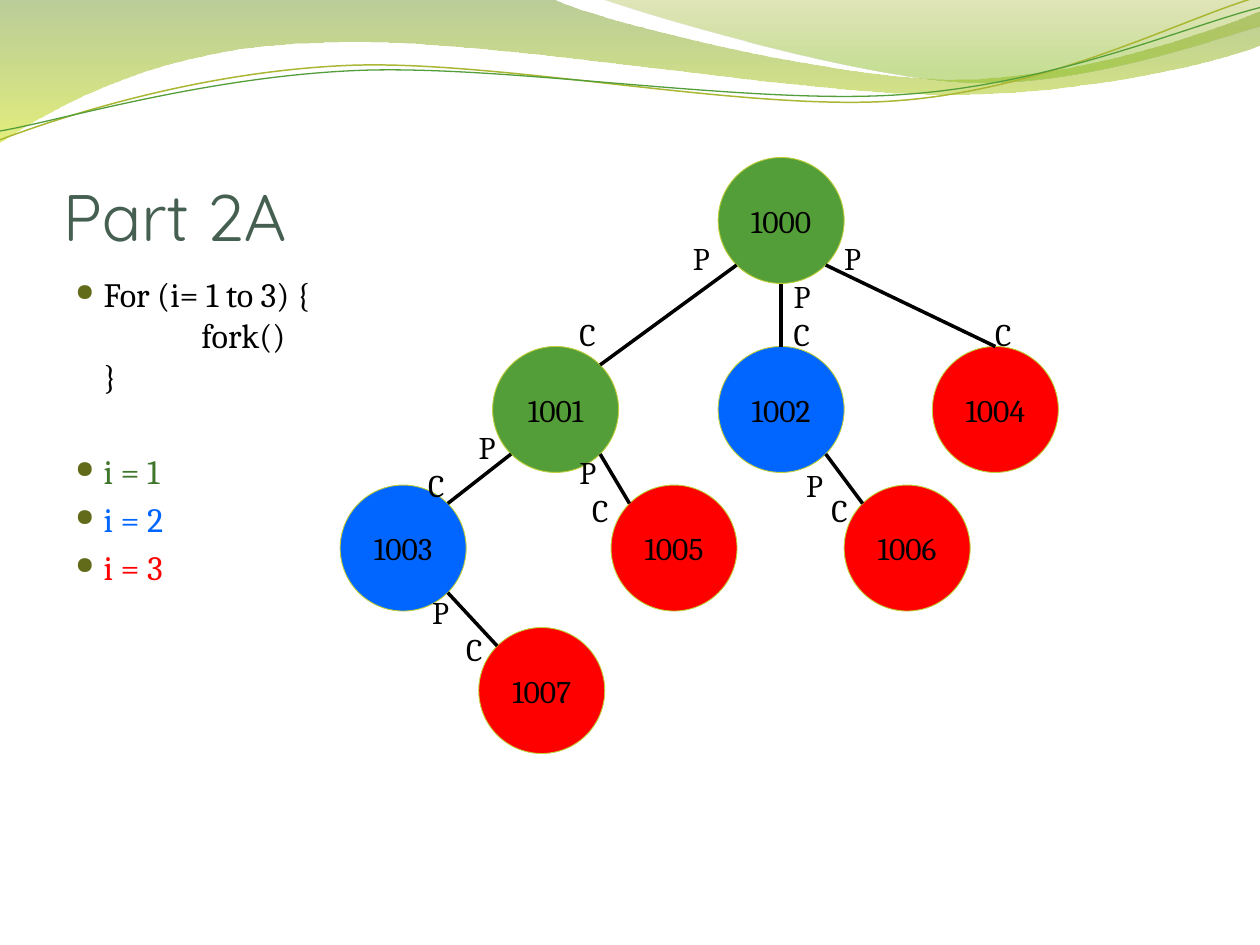
import math

import lxml.etree
import pptx
import pptx.dml.color
import pptx.enum.shapes
import pptx.enum.text
import pptx.oxml.ns
import pptx.util

Pt = pptx.util.Pt
ANCHOR = pptx.enum.text.MSO_ANCHOR
GREEN, BLUE, RED, BLACK = "549E39", "0066FF", "FF0000", "000000"
RADIUS = 36
DIRECTIONS = {"top": -90, "top left": -135, "top right": -45,
              "bottom": 90, "bottom left": 135, "bottom right": 45}

RIBBONS = [
    {"start": (0, 0),
     "segments": [(316.8, 0), (342, 12.24, 477.36, 45.36, 545.76, 45.36),
                  (614.16, 45.36, 689.76, 18.72, 720, 6.48), (720, 25.92),
                  (707.76, 31.68, 625.68, 54.72, 537.12, 54),
                  (447.84, 54, 274.32, 20.16, 185.04, 24.48),
                  (92.88, 25.92, 33.12, 59.76, 0, 81.36)],
     "stops": [(0, "69921C", 45), (1, "CCE10F", 55)]},
    {"start": (344.88, 0),
     "segments": [(366.48, 7.92, 491.04, 44.64, 552.96, 46.8),
                  (615.6, 49.68, 691.92, 23.04, 720, 15.12), (720, 0)],
     "stops": [(0, "9BAA1A", 30), (0.8, "81BA16", 45)]},
]
WAVES = [
    {"start": (0, 79.92),
     "segments": [(34.56, 66.96, 113.04, 41.04, 198.72, 37.44),
                  (284.4, 33.84, 426.24, 64.08, 512.64, 57.6),
                  (599.76, 51.12, 675.36, 10.8, 717.84, -1.44)],
     "color": "A9B733", "width": 0.85},
    {"start": (0, 74.88),
     "segments": [(33.84, 69.12, 117.36, 43.92, 203.76, 40.32),
                  (289.44, 36.72, 429.84, 60.48, 516.24, 54),
                  (601.92, 48.24, 677.52, 15.12, 720, 4.32)],
     "color": GREEN, "width": 0.75},
]
TITLE = "Part 2A"
BODY = [("For (i= 1 to 3) {\v\tfork()\v}", BLACK, 0), ("i = 1", "3F762B", 30.8),
        ("i = 2", BLUE, 4), ("i = 3", RED, 4)]
PROCESS_CENTERS = {
    "1000": (446.4, 126, GREEN), "1001": (317.5, 234, GREEN),
    "1002": (446.4, 234, BLUE), "1003": (230.4, 313.2, BLUE),
    "1004": (568.8, 234, RED), "1005": (385.2, 313.2, RED),
    "1006": (518.4, 313.2, RED), "1007": (309.6, 394.6, RED),
}
FORKS = [
    ("1000", "bottom left", "1001", "top right", (388.8, 133.2), (324, 176.4)),
    ("1000", "bottom", "1002", "top", (446.4, 154.8), (446.4, 176.4)),
    ("1000", "bottom right", "1004", "top", (475.2, 133.2), (561.6, 176.4)),
    ("1001", "bottom left", "1003", "top right", (266.4, 241.2), (237.6, 262.8)),
    ("1001", "bottom right", "1005", "top left", (324, 255.6), (331.2, 277.2)),
    ("1002", "bottom right", "1006", "top left", (453.6, 262.8), (468, 277.2)),
    ("1003", "bottom right", "1007", "top left", (239.8, 335.5), (259.2, 356.4)),
]


def rgb(value):
    return pptx.dml.color.RGBColor.from_string(value)


def apply(target, values):
    for name, value in values.items():
        setattr(target, name, value)


def add_xml(parent, tag, **attributes):
    return lxml.etree.SubElement(parent, pptx.oxml.ns.qn(tag), attributes)


def write(paragraph, text, size, color, font="Cambria"):
    paragraph.text = text
    for run in paragraph.runs:
        apply(run.font, {"name": font, "size": Pt(size)})
        run.font.color.rgb = rgb(color)


def add_text_box(slide, left, top, width, height, **frame_format):
    frame = slide.shapes.add_textbox(Pt(left), Pt(top), Pt(width), Pt(height)).text_frame
    apply(frame, {"word_wrap": True, **frame_format})
    return frame


def add_curve(slide, curve, close):
    points = [(Pt(x), Pt(y)) for segment in curve["segments"]
              for x, y in zip(segment[::2], segment[1::2])]
    builder = slide.shapes.build_freeform(*map(Pt, curve["start"]))
    builder.add_line_segments(points, close=close)
    shape = builder.convert_to_shape()
    shape.shadow.inherit = False
    lines = iter(list(shape._element.iter(pptx.oxml.ns.qn("a:lnTo"))))
    for segment in curve["segments"]:
        group = [next(lines) for _ in range(len(segment) // 2)]
        if len(group) == 3:
            bezier = lxml.etree.Element(pptx.oxml.ns.qn("a:cubicBezTo"))
            group[0].addprevious(bezier)
            for line in group:
                bezier.append(line[0])
                line.getparent().remove(line)
    return shape


def add_ribbon(slide, ribbon):
    shape = add_curve(slide, ribbon, True)
    shape.line.fill.background()
    shape.fill.gradient()
    shape.fill.gradient_angle = 270
    for stop, (position, color, _) in zip(shape.fill.gradient_stops, ribbon["stops"]):
        stop.position = position
        stop.color.rgb = rgb(color)
    colors = shape._element.spPr.iter(pptx.oxml.ns.qn("a:srgbClr"))
    for element, (_, _, opacity) in zip(colors, ribbon["stops"]):
        add_xml(element, "a:alpha", val=str(opacity * 1000))


def add_wave(slide, wave):
    shape = add_curve(slide, wave, False)
    shape.fill.background()
    shape.line.color.rgb = rgb(wave["color"])
    shape.line.width = Pt(wave["width"])


def add_body(slide):
    frame = add_text_box(slide, 36, 152.64, 648, 345.6)
    for index, (text, color, space) in enumerate(BODY):
        paragraph = frame.add_paragraph() if index else frame.paragraphs[0]
        paragraph.space_before = Pt(space)
        properties = paragraph._p.get_or_add_pPr()
        properties.set("marL", str(Pt(16.2)))
        properties.set("indent", str(-Pt(16.2)))
        add_xml(add_xml(properties, "a:buClr"), "a:srgbClr", val="626B1A")
        add_xml(properties, "a:buSzPct", val="70000")
        add_xml(properties, "a:buChar", char="●")
        if "\t" in text:
            add_xml(add_xml(properties, "a:tabLst"), "a:tab", pos=str(Pt(72)), algn="l")
        write(paragraph, text, 19.5, color)


def add_process(slide, name):
    x, y, color = PROCESS_CENTERS[name]
    shape = slide.shapes.add_shape(pptx.enum.shapes.MSO_SHAPE.OVAL, Pt(x - RADIUS),
                                   Pt(y - RADIUS), Pt(2 * RADIUS), Pt(2 * RADIUS))
    shape.shadow.inherit = False
    shape.fill.solid()
    shape.fill.fore_color.rgb = rgb(color)
    shape.line.color.rgb = rgb("C0CF3A")
    shape.line.width = Pt(0.5)
    shape.text_frame.vertical_anchor = ANCHOR.MIDDLE
    paragraph = shape.text_frame.paragraphs[0]
    paragraph.alignment = pptx.enum.text.PP_ALIGN.CENTER
    write(paragraph, name, 18, BLACK)


def rim_point(name, direction):
    x, y, _ = PROCESS_CENTERS[name]
    angle = math.radians(DIRECTIONS[direction])
    return Pt(x + RADIUS * math.cos(angle)), Pt(y + RADIUS * math.sin(angle))


def add_fork(slide, parent, parent_side, child, child_side, parent_label, child_label):
    line = slide.shapes.add_connector(pptx.enum.shapes.MSO_CONNECTOR.STRAIGHT,
                                      *rim_point(parent, parent_side),
                                      *rim_point(child, child_side))
    line.line.color.rgb = rgb(BLACK)
    line.line.width = Pt(2)
    add_xml(line._element.spPr, "a:effectLst")
    for text, position, width in (("P", parent_label, 25.2), ("C", child_label, 27.36)):
        frame = add_text_box(slide, *position, width, 28.8, word_wrap=False,
                             auto_size=pptx.enum.text.MSO_AUTO_SIZE.SHAPE_TO_FIT_TEXT)
        write(frame.paragraphs[0], text, 18, BLACK)


def main():
    presentation = pptx.Presentation()
    apply(presentation, {"slide_width": Pt(720), "slide_height": Pt(540)})
    slide = presentation.slides.add_slide(presentation.slide_layouts[6])
    for ribbon in RIBBONS:
        add_ribbon(slide, ribbon)
    for wave in WAVES:
        add_wave(slide, wave)
    title = add_text_box(slide, 36, 55.44, 648, 90, vertical_anchor=ANCHOR.BOTTOM,
                         margin_left=0, margin_right=0, margin_bottom=0)
    write(title.paragraphs[0], TITLE, 37.5, "455F51", "Quicksand")
    add_body(slide)
    for name in PROCESS_CENTERS:
        add_process(slide, name)
    for fork in FORKS:
        add_fork(slide, *fork)
    presentation.save("out.pptx")


if __name__ == "__main__":
    main()
